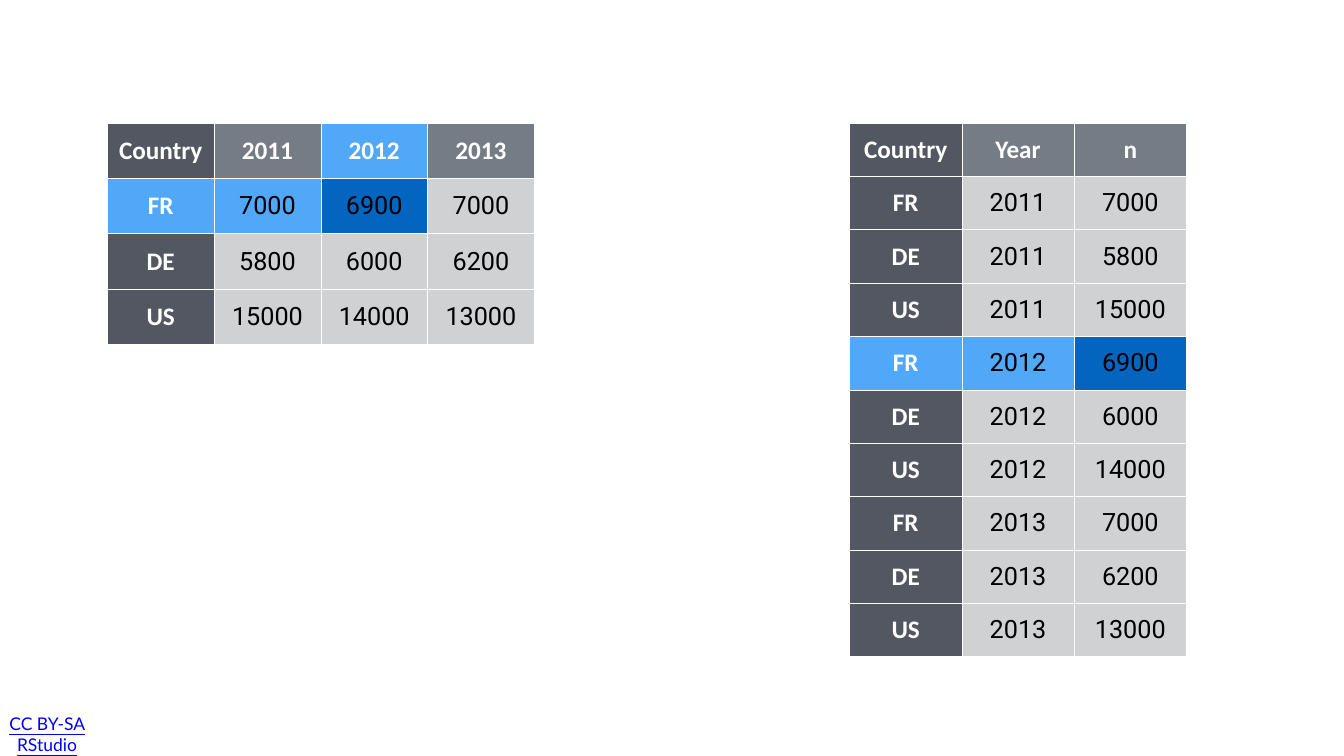
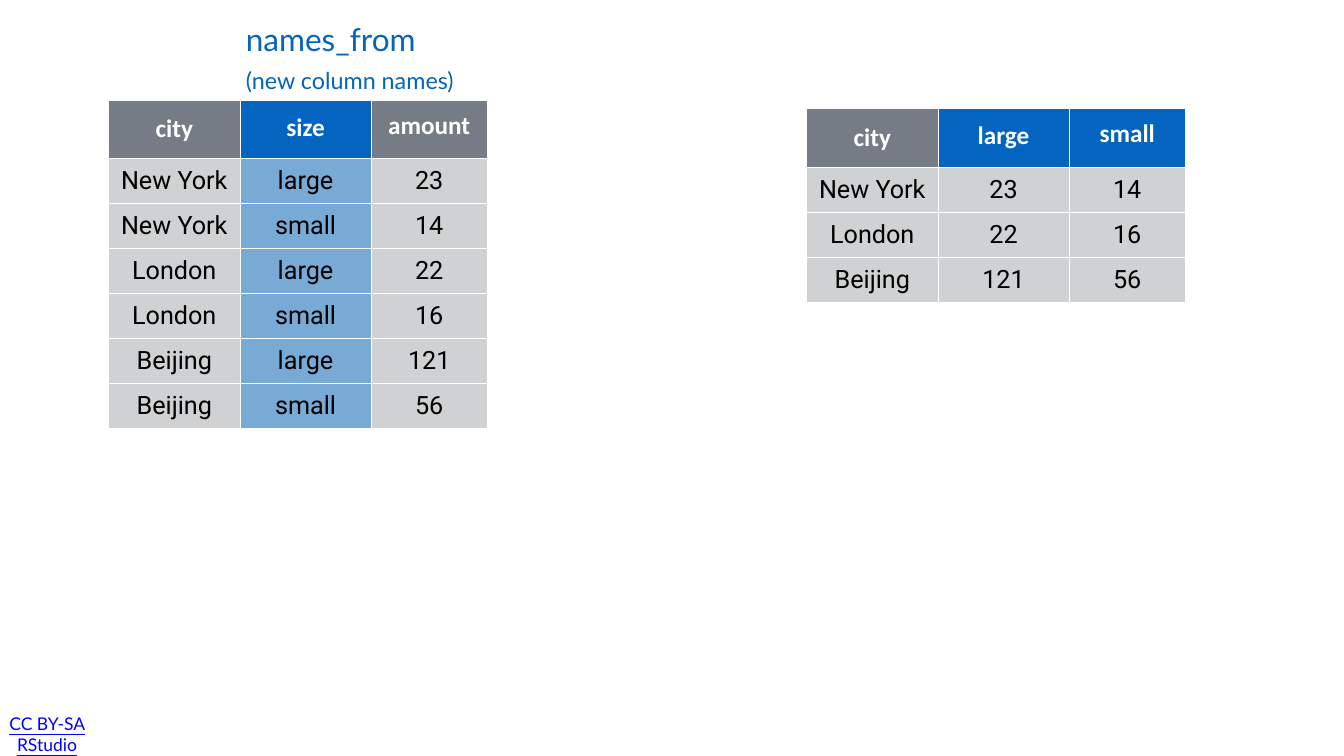
from dataclasses import dataclass
from lxml.etree import SubElement
from pptx import Presentation
from pptx.dml.color import RGBColor
from pptx.enum.text import MSO_ANCHOR, PP_ALIGN
from pptx.oxml.ns import qn
from pptx.util import Cm, Pt


@dataclass(frozen=True)
class Theme:
    white: str = "FFFFFF"
    black: str = "000000"
    link: str = "0000FF"
    header: str = "767C85"
    label: str = "535761"
    body: str = "D0D1D2"
    strong: str = "0365C0"
    bright: str = "51A8F9"
    soft: str = "78AAD6"
    head_font: str = "Calibri"
    body_font: str = "Roboto"
    text_font: str = "Lato"
    cell_size: float = 36
    caption_size: float = 45.1
    note_size: float = 33.3
    footer_size: float = 25
    cell_inset: float = 0.15
    box_inset: float = 0.2


T = Theme()
FOOTER = "CC BY-SA RStudio"
CAPTION = [("names_from", T.caption_size), ("(new column names)", T.note_size)]

YEARS = ["2011", "2012", "2013"]
CASES = [
    ["FR", "7000", "6900", "7000"],
    ["DE", "5800", "6000", "6200"],
    ["US", "15000", "14000", "13000"],
]
CASES_LONG = [
    [row[0], year, row[i]] for i, year in enumerate(YEARS, 1) for row in CASES
]
POLLUTION = [
    ["New York", "large", "23"],
    ["New York", "small", "14"],
    ["London", "large", "22"],
    ["London", "small", "16"],
    ["Beijing", "large", "121"],
    ["Beijing", "small", "56"],
]
POLLUTION_WIDE = [
    ["New York", "23", "14"],
    ["London", "22", "16"],
    ["Beijing", "121", "56"],
]
CITY_COLS = [6.65, 6.58, 5.89]
CITY_SPACING = [None, 0.8, 0.6]

SLIDES = [
    {
        "caption": None,
        "tables": [
            {
                "at": (5.41, 6.2), "cols": [5.38] * 4, "heights": (2.79, 2.79),
                "rows": [["Country", *YEARS], *CASES], "labels": True,
                "marks": {(0, 2): T.bright, (1, 0): T.bright,
                          (1, 1): T.bright, (1, 2): T.strong},
            },
            {
                "at": (42.82, 6.2), "cols": [5.66] * 3, "heights": (2.69, 2.69),
                "rows": [["Country", "Year", "n"], *CASES_LONG], "labels": True,
                "marks": {(4, 0): T.bright, (4, 1): T.bright, (4, 2): T.strong},
            },
        ],
    },
    {
        "caption": CAPTION,
        "tables": [
            {
                "at": (5.46, 5.03), "cols": CITY_COLS, "heights": (2.95, 2.27),
                "rows": [["city", "size", "amount"], *POLLUTION],
                "spacing": CITY_SPACING,
                "marks": {(0, 1): T.strong,
                          **{(i, 1): T.soft for i in range(1, len(POLLUTION) + 1)}},
            },
            {
                "at": (40.64, 5.44), "cols": CITY_COLS, "heights": (2.97, 2.27),
                "rows": [["city", "large", "small"], *POLLUTION_WIDE],
                "spacing": CITY_SPACING,
                "marks": {(0, 1): T.strong, (0, 2): T.strong},
            },
        ],
    },
]


def add_run(p, text, font, size, color, bold=False, underline=False):
    r = p.add_run()
    r.text = text
    r.font.name = font
    r.font.size = Pt(size)
    r.font.bold = bold
    r.font.underline = underline
    r.font.color.rgb = RGBColor.from_string(color)


def set_insets(frame, inset):
    frame.margin_left = frame.margin_right = Cm(inset)
    frame.margin_top = frame.margin_bottom = Cm(inset)
    frame.vertical_anchor = MSO_ANCHOR.MIDDLE


def add_box(s, left, top, width, height):
    tf = s.shapes.add_textbox(Cm(left), Cm(top), Cm(width), Cm(height)).text_frame
    tf.word_wrap = True
    set_insets(tf, T.box_inset)
    return tf


def add_footer(s):
    p = add_box(s, 0.17, 36.22, 4.4, 1.52).paragraphs[0]
    p.alignment = PP_ALIGN.CENTER
    add_run(p, FOOTER, T.text_font, T.footer_size, T.link, underline=True)


def add_caption(s, lines):
    tf = add_box(s, 12.19, 1.07, 20.88, 3.96)
    for i, (text, size) in enumerate(lines):
        p = tf.add_paragraph() if i else tf.paragraphs[0]
        p.line_spacing = 0.8
        if i:
            p.space_before = Pt(20)
        add_run(p, text, T.text_font, size, T.strong)


def set_borders(cell):
    tc_pr = cell._tc.get_or_add_tcPr()
    for i, side in enumerate(("lnL", "lnR", "lnT", "lnB")):
        ln = SubElement(tc_pr, qn(f"a:{side}"), w=str(Pt(1)))
        fill = SubElement(ln, qn("a:solidFill"))
        SubElement(fill, qn("a:srgbClr"), val=T.white)
        tc_pr.insert(i, ln)


def default_fill(i, j, labels):
    if labels and j == 0:
        return T.label
    return T.header if i == 0 else T.body


def add_data_table(s, data):
    rows, cols = data["rows"], data["cols"]
    labels = data.get("labels", False)
    spacing = data.get("spacing", [None] * len(cols))
    head, body = data["heights"]
    heights = [head] + [body] * (len(rows) - 1)
    left, top = data["at"]
    table = s.shapes.add_table(
        len(rows), len(cols), Cm(left), Cm(top), Cm(sum(cols)), Cm(sum(heights))
    ).table
    table.horz_banding = False
    table.first_col = labels
    for column, width in zip(table.columns, cols):
        column.width = Cm(width)
    for i, row in enumerate(rows):
        table.rows[i].height = Cm(heights[i])
        for j, text in enumerate(row):
            cell = table.cell(i, j)
            set_insets(cell, T.cell_inset)
            cell.fill.solid()
            color = data["marks"].get((i, j), default_fill(i, j, labels))
            cell.fill.fore_color.rgb = RGBColor.from_string(color)
            set_borders(cell)
            p = cell.text_frame.paragraphs[0]
            p.alignment = PP_ALIGN.CENTER
            if i == 0 and spacing[j]:
                p.line_spacing = spacing[j]
            if i == 0 or (labels and j == 0):
                add_run(p, text, T.head_font, T.cell_size, T.white, bold=True)
            else:
                add_run(p, text, T.body_font, T.cell_size, T.black)


def main():
    prs = Presentation()
    prs.slide_width, prs.slide_height = Cm(67.74), Cm(38.1)
    for content in SLIDES:
        s = prs.slides.add_slide(prs.slide_layouts[6])
        add_footer(s)
        for data in content["tables"]:
            add_data_table(s, data)
        if content["caption"]:
            add_caption(s, content["caption"])
    prs.save("out.pptx")


if __name__ == "__main__":
    main()
